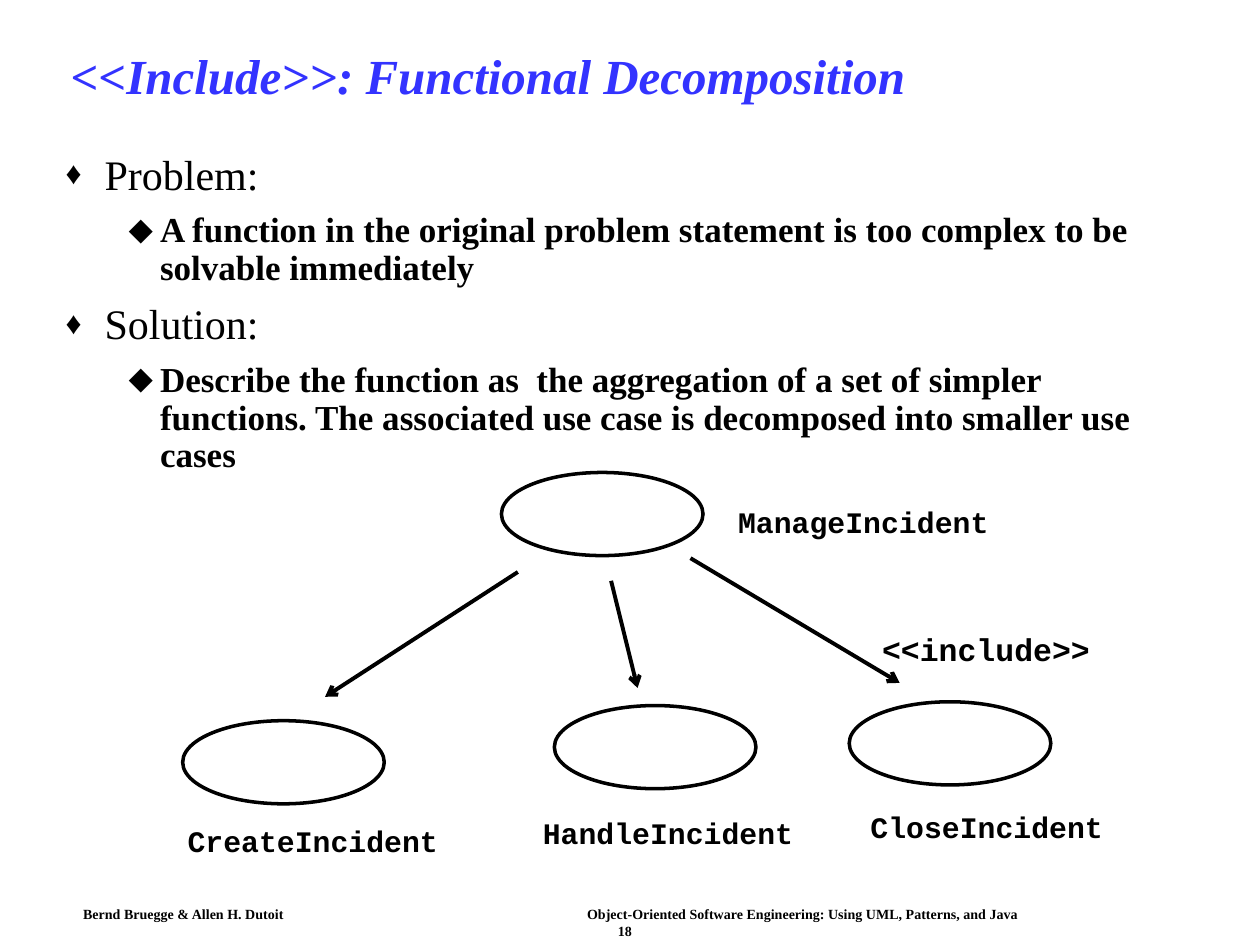
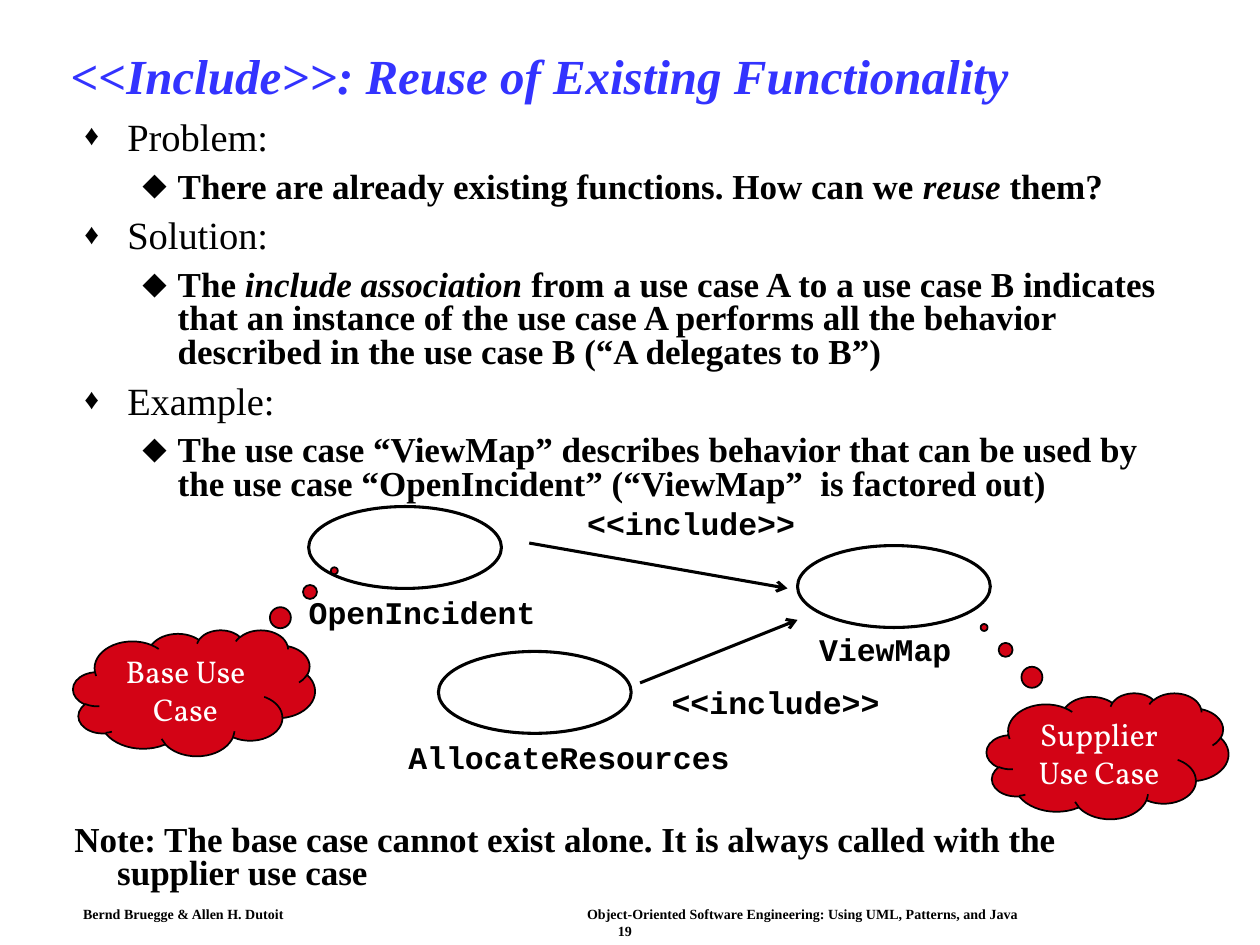
"""Build two slides about the include association between use cases."""
import dataclasses

import lxml.etree
import pptx
import pptx.dml.color
import pptx.enum.shapes
import pptx.enum.text
import pptx.oxml.ns
import pptx.util

COLUMNS, ROWS = 10, 7.5
TITLE_BLUE = pptx.dml.color.RGBColor(0x33, 0x33, 0xFF)
BLACK = pptx.dml.color.RGBColor(0x00, 0x00, 0x00)
WHITE = pptx.dml.color.RGBColor(0xFF, 0xFF, 0xFF)
CLOUD_RED = pptx.dml.color.RGBColor(0xD3, 0x03, 0x15)
SERIF, MONO, CLOUD_FONT = "Times New Roman", "Courier New", "Vollkorn"
AUTHORS = "Bernd Bruegge & Allen H. Dutoit"
BOOK = "Object-Oriented Software Engineering: Using UML, Patterns, and Java"
INCLUDE = "<<include>>"
LABEL_SLACK = 0.1


@dataclasses.dataclass
class DiagramStyle:
    """Sizes shared by the use cases and arrows of one diagram."""
    oval: tuple
    oval_line: float
    arrow_line: float
    label_size: int
    label_margin: float


@dataclasses.dataclass
class ListStyle:
    """Spacing of a two-level list: size, space before and indents per level."""
    line_spacing: float
    sizes: tuple
    spaces: tuple
    indents: tuple
    hangings: tuple


DECOMPOSITION = DiagramStyle((1.6, 0.66), 2, 2.25, 17, 0.1)
REUSE = DiagramStyle((1.53, 0.65), 1.75, 1.75, 18, 0)
WIDE_LIST = ListStyle(0.9, (24, 20), (9, 7.5), (0.31, 0.75), (0.31, 0.25))
TIGHT_LIST = ListStyle(0.8, (22, 20), (8.2, 7.5), (0.34, 0.74), (0.34, 0.28))


def grid(*cells):
    """Turn grid columns or rows into lengths."""
    return [pptx.util.Inches(cell) for cell in cells]


def add_element(parent, tag, **attributes):
    """Append a DrawingML element to a parent."""
    return lxml.etree.SubElement(parent, pptx.oxml.ns.qn(tag), attributes)


def set_font(paragraph, name, size, color=BLACK, bold=False, italic=False):
    """Format all text of a paragraph."""
    font = paragraph.font
    font.name, font.size = name, pptx.util.Pt(size)
    font.bold, font.italic = bold, italic
    font.color.rgb = color


def set_margins(frame, horizontal, vertical):
    """Set the insets of a text frame."""
    frame.margin_left, frame.margin_right = grid(horizontal, horizontal)
    frame.margin_top, frame.margin_bottom = grid(vertical, vertical)


def set_indent(paragraph, indent, hanging):
    """Give a paragraph a hanging indent and return its properties."""
    properties = paragraph._p.get_or_add_pPr()
    indent, hanging = grid(indent, hanging)
    properties.set("marL", str(indent))
    properties.set("indent", str(-hanging))
    return properties


def place(shape, left, top, width, height):
    """Move and size a shape on the grid."""
    shape.left, shape.top, shape.width, shape.height = grid(left, top, width, height)


def add_text_box(slide, box, horizontal, vertical):
    """Add a text box and return its text frame."""
    frame = slide.shapes.add_textbox(*grid(*box)).text_frame
    frame.word_wrap = True
    set_margins(frame, horizontal, vertical)
    return frame


def add_footer(slide, number):
    """Add authors, book title and slide number."""
    frame = add_text_box(slide, (0.58, 7.15, 8.76, 0.34), 0.08, 0.04)
    credit, page = frame.paragraphs[0], frame.add_paragraph()
    credit.text = f"{AUTHORS}\t{BOOK}"
    tabs = add_element(credit._p.get_or_add_pPr(), "a:tabLst")
    add_element(tabs, "a:tab", pos=str(pptx.util.Inches(4)), algn="l")
    page.text = str(number)
    page.alignment = pptx.enum.text.PP_ALIGN.CENTER
    for paragraph in (credit, page):
        set_font(paragraph, SERIF, 8, bold=True)


def add_title(slide, text):
    """Fill the title placeholder."""
    title = slide.shapes.title
    place(title, 0.46, 0.24, 9.21, 0.77)
    title.text_frame.auto_size = pptx.enum.text.MSO_AUTO_SIZE.NONE
    title.text_frame.vertical_anchor = pptx.enum.text.MSO_ANCHOR.MIDDLE
    paragraph = title.text_frame.paragraphs[0]
    paragraph.text = text
    paragraph.alignment = pptx.enum.text.PP_ALIGN.LEFT
    paragraph.line_spacing = 0.9
    set_font(paragraph, SERIF, 28, TITLE_BLUE, bold=True, italic=True)


def add_bullet(paragraph, level, style):
    """Give a list paragraph its diamond and indent."""
    properties = set_indent(paragraph, style.indents[level], style.hangings[level])
    add_element(add_element(properties, "a:buClr"), "a:srgbClr", val=str(BLACK))
    add_element(properties, "a:buSzPct", val=("75000", "100000")[level])
    add_element(properties, "a:buChar", char="♦⬥"[level])


def add_list(slide, box, style, topics):
    """Fill the body with headings and points; odd parts of a point are italic."""
    body = slide.placeholders[1]
    place(body, *box)
    frame = body.text_frame
    frame.auto_size = pptx.enum.text.MSO_AUTO_SIZE.NONE
    lines = [(level, parts) for heading, point in topics
             for level, parts in enumerate(([heading], point))]
    for index, (level, parts) in enumerate(lines):
        paragraph = frame.add_paragraph() if index else frame.paragraphs[0]
        paragraph.level = level
        paragraph.line_spacing = style.line_spacing
        paragraph.space_before = pptx.util.Pt(style.spaces[level])
        add_bullet(paragraph, level, style)
        set_font(paragraph, SERIF, style.sizes[level], bold=level == 1)
        for position, part in enumerate(parts):
            run = paragraph.add_run()
            run.text = part
            if position % 2:
                run.font.italic = True


def add_label(slide, text, left, top, size=18, margin=0):
    """Add a monospaced label slightly wider than its text."""
    width = len(text) * 0.6 * size / 72 + 2 * margin + LABEL_SLACK
    height = size * 1.2 / 72 + margin
    frame = add_text_box(slide, (left, top, width, height), margin, margin / 2)
    frame.text = text
    set_font(frame.paragraphs[0], MONO, size, bold=True)


def add_use_case(slide, style, name, oval_at, label_at):
    """Add an empty oval with its name."""
    oval = slide.shapes.add_shape(
        pptx.enum.shapes.MSO_SHAPE.OVAL, *grid(*oval_at, *style.oval))
    oval.shadow.inherit = False
    oval.fill.background()
    oval.line.color.rgb = BLACK
    oval.line.width = pptx.util.Pt(style.oval_line)
    add_label(slide, name, *label_at, style.label_size, style.label_margin)


def add_arrow(slide, style, start, end):
    """Add a straight arrow between two points."""
    arrow = slide.shapes.add_connector(
        pptx.enum.shapes.MSO_CONNECTOR.STRAIGHT, *grid(*start, *end))
    arrow.line.color.rgb = BLACK
    arrow.line.width = pptx.util.Pt(style.arrow_line)
    properties = arrow._element.spPr
    add_element(properties.find(pptx.oxml.ns.qn("a:ln")), "a:tailEnd", type="arrow")
    add_element(properties, "a:effectLst")


def add_cloud(slide, lines, left, top, pointer):
    """Add a red thought cloud pointing at a use case."""
    cloud = slide.shapes.add_shape(
        pptx.enum.shapes.MSO_SHAPE.CLOUD_CALLOUT, *grid(left, top, 1.92, 1))
    cloud.shadow.inherit = False
    cloud.adjustments[0], cloud.adjustments[1] = pointer
    cloud.fill.solid()
    cloud.fill.fore_color.rgb = CLOUD_RED
    cloud.line.color.rgb = BLACK
    cloud.line.width = pptx.util.Pt(1)
    frame = cloud.text_frame
    frame.word_wrap = False
    frame.vertical_anchor = pptx.enum.text.MSO_ANCHOR.MIDDLE
    frame.text = "\n".join(lines)
    for paragraph in frame.paragraphs:
        paragraph.alignment = pptx.enum.text.PP_ALIGN.CENTER
        set_font(paragraph, CLOUD_FONT, 18, WHITE)


def add_note(slide, text):
    """Add the closing note with a hanging indent."""
    frame = add_text_box(slide, (0.5, 6.5, 8.8, 0.67), 0.09, 0.05)
    paragraph = frame.paragraphs[0]
    paragraph.text = text
    paragraph.line_spacing = 0.8
    set_indent(paragraph, 0.34, 0.34)
    set_font(paragraph, SERIF, 20, bold=True)


def add_slide(presentation, title, number):
    """Add a slide with the shared title and footer."""
    slide = presentation.slides.add_slide(presentation.slide_layouts[1])
    add_footer(slide, number)
    add_title(slide, title)
    return slide


def build_decomposition(presentation):
    """Build the slide on functional decomposition."""
    slide = add_slide(presentation, "<<Include>>: Functional Decomposition", 18)
    add_list(slide, (0.42, 1.17, 9.03, 5.38), WIDE_LIST, [
        ("Problem:", ["A function in the original problem statement is too complex "
                      "to be solvable immediately"]),
        ("Solution:", ["Describe the function as  the aggregation of a set of simpler "
                       "functions. The associated use case is decomposed into smaller "
                       "use cases"]),
    ])
    for name, oval_at, label_at in [
        ("ManageIncident", (3.98, 3.75), (5.76, 3.95)),
        ("CreateIncident", (1.45, 5.72), (1.39, 6.48)),
        ("HandleIncident", (4.4, 5.6), (4.21, 6.42)),
        ("CloseIncident", (6.74, 5.57), (6.81, 6.37)),
    ]:
        add_use_case(slide, DECOMPOSITION, name, oval_at, label_at)
    for start, end in [
        ((4.11, 4.54), (2.58, 5.53)),
        ((4.85, 4.61), (5.06, 5.46)),
        ((5.48, 4.43), (7.14, 5.42)),
    ]:
        add_arrow(slide, DECOMPOSITION, start, end)
    add_label(slide, INCLUDE, 7, 5)


def build_reuse(presentation):
    """Build the slide on reuse of existing functionality."""
    slide = add_slide(presentation, "<<Include>>: Reuse of Existing Functionality", 19)
    add_list(slide, (0.57, 0.92, 8.79, 3.17), TIGHT_LIST, [
        ("Problem:", ["There are already existing functions. How can we ",
                      "reuse", " them?"]),
        ("Solution:", ["The ", "include association",
                       " from a use case A to a use case B indicates that an instance "
                       "of the use case A performs all the behavior described in the "
                       "use case B (“A delegates to B”)"]),
        ("Example:", ["The use case “ViewMap” describes behavior that can be used by "
                      "the use case “OpenIncident” (“ViewMap”  is factored out)"]),
    ])
    for name, oval_at, label_at in [
        ("ViewMap", (6.33, 4.33), (6.5, 5)),
        ("OpenIncident", (2.45, 4.02), (2.45, 4.71)),
        ("AllocateResources", (3.48, 5.17), (3.24, 5.86)),
    ]:
        add_use_case(slide, REUSE, name, oval_at, label_at)
    for start, end, label_at in [
        ((5.08, 5.42), (6.33, 4.92), (5.33, 5.42)),
        ((4.2, 4.31), (6.25, 4.67), (4.66, 4)),
    ]:
        add_arrow(slide, REUSE, start, end)
        add_label(slide, INCLUDE, *label_at)
    add_cloud(slide, ("Base Use", "Case"), 0.58, 5, (0.58, -0.97))
    add_cloud(slide, ("Supplier", "Use Case"), 7.83, 5.5, (-0.51, -1.02))
    add_note(slide, "Note: The base case cannot exist alone. It is always called with "
                    "the supplier use case")


def main():
    """Build and save the presentation."""
    presentation = pptx.Presentation()
    presentation.slide_width, presentation.slide_height = grid(COLUMNS, ROWS)
    build_decomposition(presentation)
    build_reuse(presentation)
    presentation.save("out.pptx")


if __name__ == "__main__":
    main()
